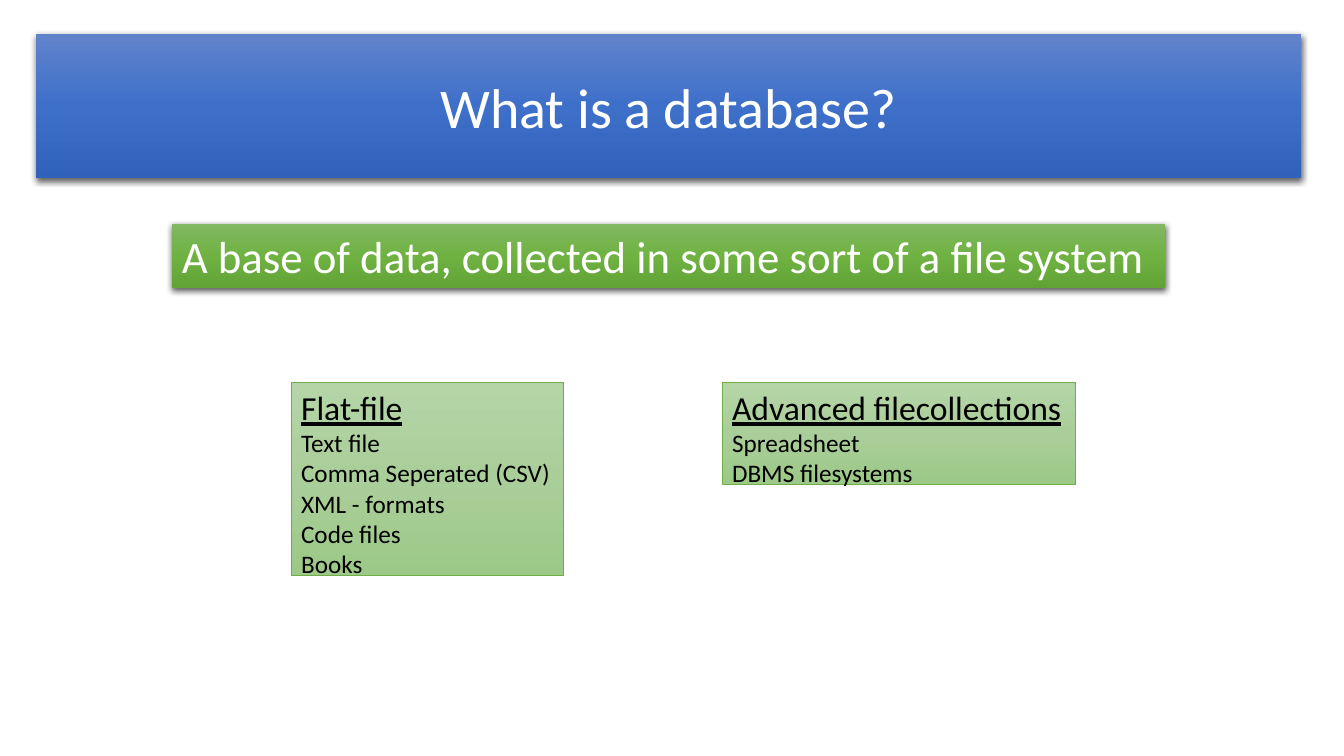
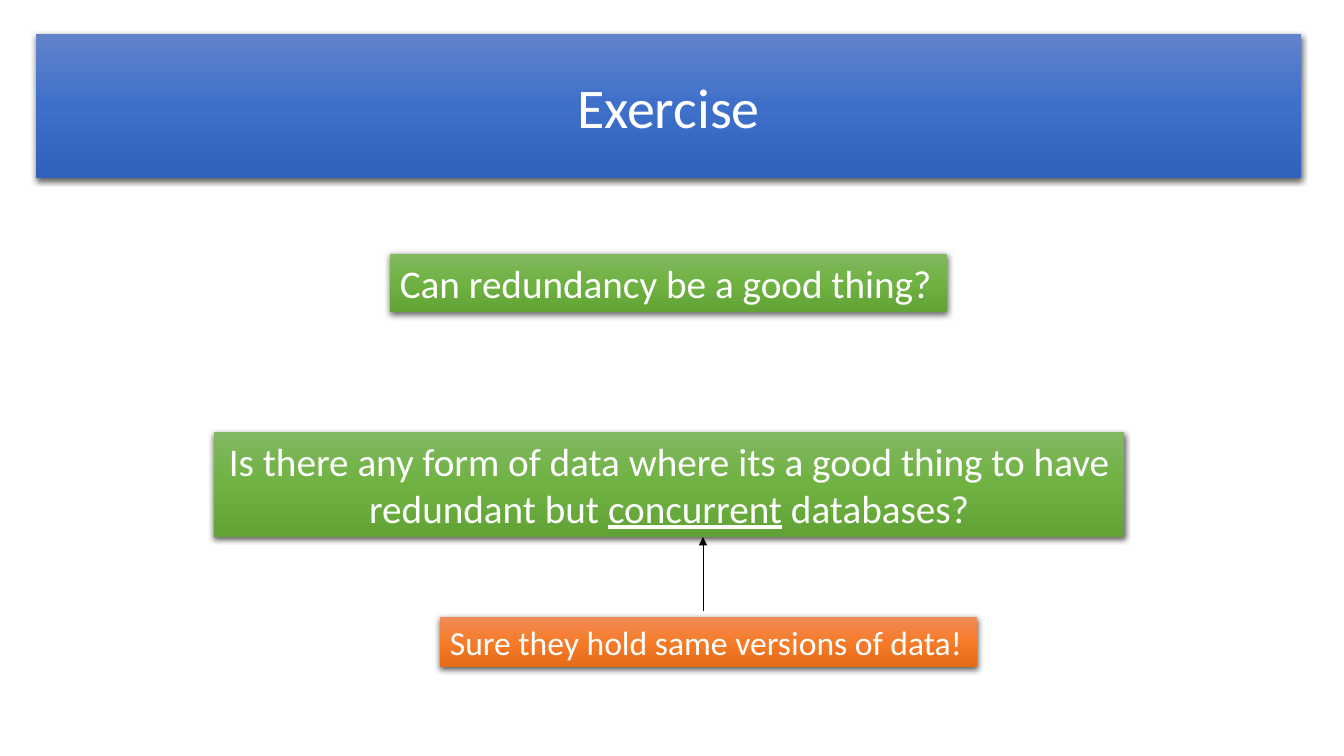
from copy import deepcopy

from lxml.etree import SubElement
from pptx import Presentation
from pptx.dml.color import RGBColor
from pptx.enum.shapes import MSO_CONNECTOR, MSO_SHAPE
from pptx.enum.text import MSO_ANCHOR, MSO_AUTO_SIZE, PP_ALIGN
from pptx.oxml.ns import qn
from pptx.util import Pt

PIXEL = 914400 / 100.8
BLUE = ("6183CB", "3E70CA", "3062BB")
GREEN = ("81B861", "6FB242", "62A336")
PALE_GREEN = ("B5D5A7", "AACE9A", "9CC987")
ORANGE = ("F18C57", "F67B28", "E56C19")
OUTLINE = "70AD47"
WHITE, BLACK = "FFFFFF", "000000"


def style_box(box, place, colors, outline=None):
    """Place a box in pixels, with a vertical gradient and an outline or a shadow."""
    box.left, box.top, box.width, box.height = (round(n * PIXEL) for n in place)
    box.fill.gradient()
    box.fill.gradient_angle = 270
    properties = box.element.spPr
    stop_list = properties.find(qn("a:gradFill")).find(qn("a:gsLst"))
    stop_list.append(deepcopy(stop_list[0]))
    for stop, position, color in zip(box.fill.gradient_stops, (0, 0.5, 1), colors):
        stop.position = position
        stop.color.rgb = RGBColor.from_string(color)
    box.shadow.inherit = False
    if outline:
        box.line.color.rgb = RGBColor.from_string(outline)
        box.line.width = Pt(0.5)
        return
    box.line.fill.background()
    shadow = SubElement(properties.find(qn("a:effectLst")), qn("a:outerShdw"),
                        blurRad=str(Pt(4.5)), dist=str(Pt(1.5)), dir="5400000",
                        algn="ctr", rotWithShape="0")
    shadow_color = SubElement(shadow, qn("a:srgbClr"), val=BLACK)
    SubElement(shadow_color, qn("a:alpha"), val="63000")


def style_text(box, size, color, align=PP_ALIGN.LEFT, anchor=MSO_ANCHOR.TOP,
               wrap=False, grow=MSO_AUTO_SIZE.SHAPE_TO_FIT_TEXT):
    """Format all the text of a box."""
    frame = box.text_frame
    frame.word_wrap = wrap
    frame.auto_size = grow
    frame.vertical_anchor = anchor
    for para in frame.paragraphs:
        para.alignment = align
        para.space_before = Pt(0)
        for span in para.runs:
            span.font.name = "Calibri"
            span.font.size = Pt(size)
            span.font.color.rgb = RGBColor.from_string(color)


deck = Presentation()
deck.slide_width, deck.slide_height = round(1344 * PIXEL), round(756 * PIXEL)

# Title bands: layout 3 has two lists, layout 5 only a title
pages = []
for title_text, layout in (("What is a database?", 3), ("Exercise", 5)):
    page = deck.slides.add_slide(deck.slide_layouts[layout])
    title = page.shapes.title
    title.text_frame.text = title_text
    style_box(title, (36, 34, 1265, 144), BLUE)
    style_text(title, 40, WHITE, PP_ALIGN.CENTER, MSO_ANCHOR.MIDDLE, True, MSO_AUTO_SIZE.NONE)
    pages.append(page)
database_page, exercise_page = pages

# Statements
statements = (
    (database_page, "A base of data, collected in some sort of a file system",
     (172, 224, 993, 64), GREEN, 32),
    (exercise_page, "Can redundancy be a good thing?", (390, 254, 557, 58), GREEN, 28),
    (exercise_page, "Sure they hold same versions of data!", (440, 617, 537, 50), ORANGE, 24),
)
for page, text, place, colors, size in statements:
    statement = page.shapes.add_shape(MSO_SHAPE.RECTANGLE, 0, 0, 0, 0)
    statement.text_frame.text = text
    style_box(statement, place, colors)
    style_text(statement, size, WHITE)

# Lists of file kinds
file_lists = (
    (1, (291, 382, 272, 203), ("Flat-file", "Text file", "Comma Seperated (CSV)",
                               "XML - formats", "Code files", "Books")),
    (2, (722, 382, 353, 112), ("Advanced filecollections", "Spreadsheet",
                               "DBMS filesystems")),
)
for index, place, lines in file_lists:
    file_list = database_page.placeholders[index]
    file_list.text_frame.text = "\n".join(lines)
    style_box(file_list, place, PALE_GREEN, OUTLINE)
    style_text(file_list, 18, BLACK)
    for para in file_list.text_frame.paragraphs:
        para_properties = para._p.get_or_add_pPr()
        para_properties.set("marL", "0")
        para_properties.set("indent", "0")
        SubElement(para_properties, qn("a:buNone"))
    heading = file_list.text_frame.paragraphs[0].runs[0]
    heading.font.size = Pt(24)
    heading.font.underline = True

# Question with one underlined word
question = exercise_page.shapes.add_shape(MSO_SHAPE.RECTANGLE, 0, 0, 0, 0)
question_para = question.text_frame.paragraphs[0]
question_para.text = "Is there any form of data where its a good thing to have redundant but "
for text in ("concurrent", " databases?"):
    question_para.add_run().text = text
question_para.runs[1].font.underline = True
style_box(question, (214, 432, 910, 105), GREEN)
style_text(question, 28, WHITE, PP_ALIGN.CENTER, wrap=True)

# Arrow from the answer to the question
arrow = exercise_page.shapes.add_connector(
    MSO_CONNECTOR.STRAIGHT, *(round(n * PIXEL) for n in (703, 611, 703, 537)))
arrow.line.color.rgb = RGBColor.from_string(BLACK)
arrow.line.width = Pt(0.5)
arrow_properties = arrow._element.spPr
SubElement(arrow_properties.find(qn("a:ln")), qn("a:tailEnd"), type="triangle")
SubElement(arrow_properties, qn("a:effectLst"))

deck.save("out.pptx")
